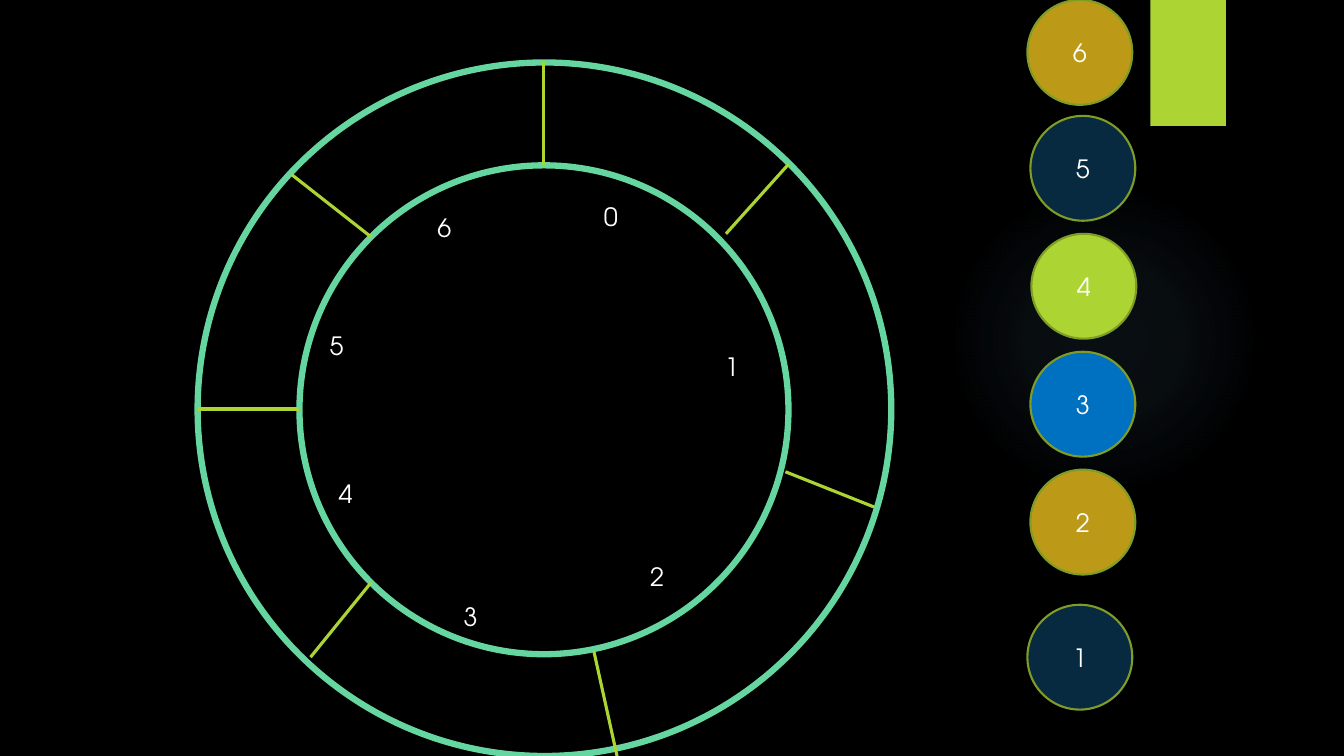
import pptx
import pptx.dml.color
import pptx.enum.shapes
import pptx.enum.text
import pptx.oxml
import pptx.oxml.ns
import pptx.util
from pptx.util import Inches

FONT = "TeX Gyre Adventor"
LIME = "ACD433"
OVAL = pptx.enum.shapes.MSO_SHAPE.OVAL


def rgb(value):
    return pptx.dml.color.RGBColor.from_string(value)


def add_shape(kind, x, y, w, h, fill=None, line=None, width=1.5):
    sp = s.shapes.add_shape(kind, Inches(x), Inches(y), Inches(w), Inches(h))
    sp.shadow.inherit = False
    if fill:
        sp.fill.solid()
        sp.fill.fore_color.rgb = rgb(fill)
    else:
        sp.fill.background()
    if line:
        sp.line.color.rgb = rgb(line)
        sp.line.width = pptx.util.Pt(width)
    else:
        sp.line.fill.background()
    return sp


prs = pptx.Presentation()
prs.slide_width, prs.slide_height = Inches(13.33), Inches(7.5)
s = prs.slides.add_slide(prs.slide_layouts[6])
s.background.fill.solid()
s.background.fill.fore_color.rgb = rgb("000000")

# Soft glow: a radial gradient that fades out
glow = add_shape(OVAL, 9.41, 1.83, 3.08, 3.08)
stops = "".join(
    f'<a:gs pos="{pos * 1000}"><a:srgbClr val="7AC4F0">'
    f'<a:alpha val="{alpha * 1000}"/></a:srgbClr></a:gs>'
    for pos, alpha in [(0, 7), (36, 6), (69, 0), (100, 0)])
gradient = pptx.oxml.parse_xml(
    f'<a:gradFill {pptx.oxml.ns.nsdecls("a")}><a:gsLst>{stops}</a:gsLst>'
    '<a:path path="circle"><a:fillToRect l="50000" t="50000" r="50000" b="50000"/>'
    '</a:path></a:gradFill>')
no_fill = glow._element.spPr.find(pptx.oxml.ns.qn("a:noFill"))
glow._element.spPr.replace(no_fill, gradient)

# Corner tab
add_shape(pptx.enum.shapes.MSO_SHAPE.RECTANGLE, 11.41, 0, 0.75, 1.25, LIME)

# Outer and inner ring
for x, y, size in [(1.96, 0.62, 6.88), (2.97, 1.64, 4.85)]:
    add_shape(OVAL, x, y, size, size, line="65D6A0", width=4.5)

# Numbered balls
for label, x, y, fill in [
        ("4", 10.23, 2.32, LIME), ("3", 10.22, 3.49, "0070C0"),
        ("2", 10.22, 4.66, "BC9A17"), ("1", 10.19, 6, "072A40"),
        ("6", 10.19, 0, "BC9A17"), ("5", 10.22, 1.15, "072A40")]:
    ball = add_shape(OVAL, x, y, 1.04, 1.04, fill, "7F9D26")
    tf = ball.text_frame
    tf.vertical_anchor = pptx.enum.text.MSO_ANCHOR.MIDDLE
    p = tf.paragraphs[0]
    p.text = label
    p.alignment = pptx.enum.text.PP_ALIGN.CENTER
    p.font.name, p.font.size = FONT, pptx.util.Pt(18)
    p.font.color.rgb = rgb("FFFFFF")

# Dividers between the ring's slots
for x1, y1, x2, y2, width in [
        (5.39, 0.62, 5.39, 1.64, 2.25), (7.82, 1.63, 7.2, 2.32, 2.25),
        (8.67, 5.03, 7.79, 4.68, 2.25), (6.12, 7.5, 5.89, 6.46, 2.25),
        (3.08, 6.52, 3.68, 5.78, 2.25), (2.89, 1.73, 3.68, 2.35, 2.25),
        (1.96, 4.06, 2.97, 4.06, 3)]:
    divider = s.shapes.add_connector(
        pptx.enum.shapes.MSO_CONNECTOR.STRAIGHT,
        Inches(x1), Inches(y1), Inches(x2), Inches(y2))
    divider.line.color.rgb = rgb(LIME)
    divider.line.width = pptx.util.Pt(width)
    divider._element.spPr.append(
        pptx.oxml.parse_xml(f'<a:effectLst {pptx.oxml.ns.nsdecls("a")}/>'))

# Slot indexes
for label, x, y in [("0", 5.89, 1.95), ("2", 6.35, 5.52), ("1", 7.09, 3.44),
                    ("6", 4.24, 2.06), ("5", 3.17, 3.23), ("3", 4.5, 5.92),
                    ("4", 3.26, 4.7)]:
    tf = s.shapes.add_textbox(
        Inches(x), Inches(y), Inches(0.46), Inches(0.4)).text_frame
    tf.word_wrap = True
    tf.auto_size = pptx.enum.text.MSO_AUTO_SIZE.SHAPE_TO_FIT_TEXT
    p = tf.paragraphs[0]
    p.text = label
    p.font.name, p.font.size = FONT, pptx.util.Pt(18)
    p.font.color.rgb = rgb("FFFFFF")

prs.save("out.pptx")
